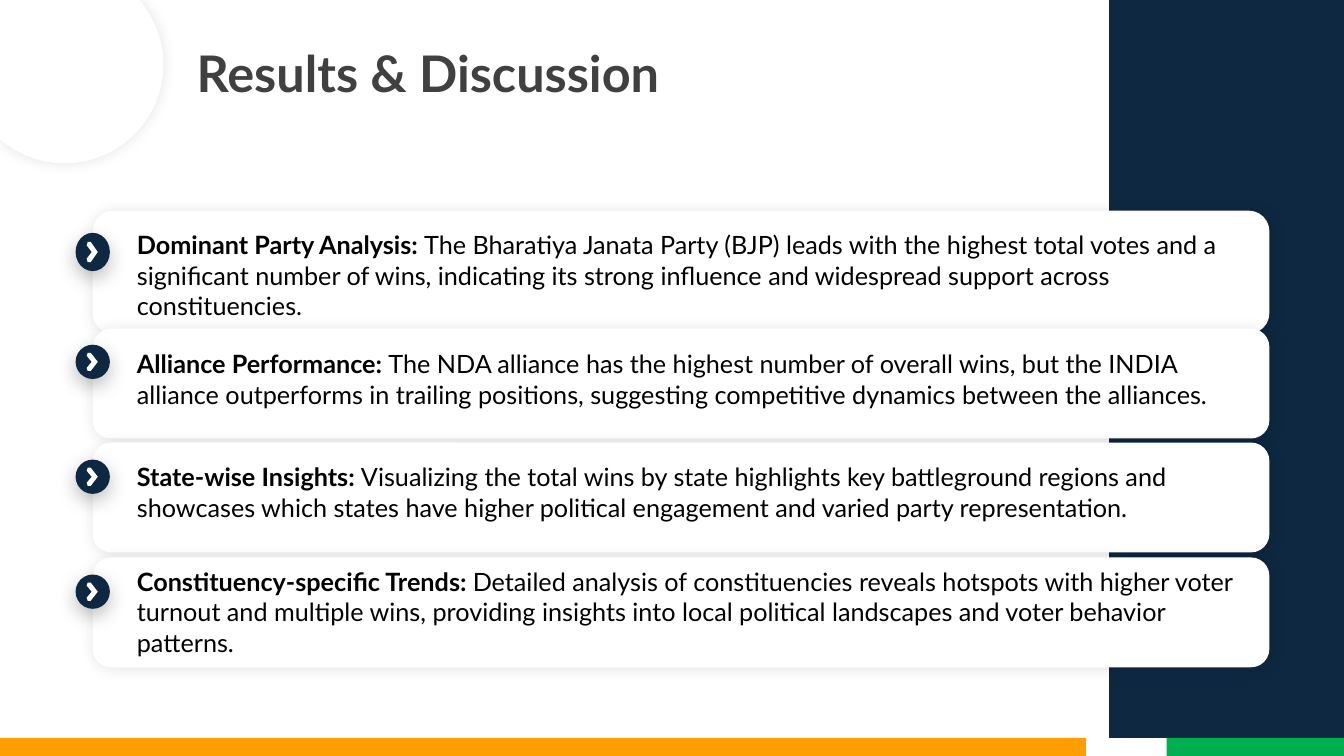
import math
from dataclasses import dataclass

import pptx
import pptx.dml.color
import pptx.enum.shapes
import pptx.enum.text
import pptx.oxml
import pptx.oxml.ns
import pptx.util
from pptx.util import Inches

RGBColor = pptx.dml.color.RGBColor
MSO_SHAPE = pptx.enum.shapes.MSO_SHAPE

NAVY = RGBColor(0x0E, 0x28, 0x41)
ORANGE = RGBColor(0xFF, 0x9E, 0x00)
GREEN = RGBColor(0x00, 0xB0, 0x50)
WHITE = RGBColor(0xFF, 0xFF, 0xFF)
BLACK = RGBColor(0x00, 0x00, 0x00)
TITLE_GRAY = RGBColor(0x40, 0x40, 0x40)
FONT = "Lato"

CARD_LEFT, CARD_WIDTH = 0.92, 11.67
TEXT_LEFT, TEXT_WIDTH = 1.26, 11.33
BADGE_WIDTH = 0.34
BAR_TOP, BAR_HEIGHT = 7.32, 0.18

# Offsets from the badge centre, in inches, for a badge 0.34 high
CHEVRON = [(0.05, 0), (-0.02, 0.09), (-0.05, 0.09), (-0.06, 0.06),
           (-0.01, 0), (-0.06, -0.06), (-0.05, -0.09), (-0.02, -0.09)]


@dataclass(frozen=True)
class Shadow:
    """Blur and distance in points, direction in degrees, opacity in percent."""
    opacity: int
    blur: int
    distance: int
    direction: int


@dataclass(frozen=True)
class Finding:
    heading: str
    detail: str
    card_top: float
    text_top: float
    text_height: float
    badge_middle: float
    card_height: float = 1.09
    badge_height: float = 0.34


CARD_SHADOW = Shadow(10, 10, 0, 0)
BADGE_SHADOW = Shadow(25, 14, 5, 90)

FINDINGS = [
    Finding("Dominant Party Analysis: ",
            "The Bharatiya Janata Party (BJP) leads with the highest total votes and a "
            "significant number of wins, indicating its strong influence and widespread "
            "support across constituencies.",
            2.09, 2.23, 1.14, 2.5, card_height=1.22, badge_height=0.38),
    Finding("Alliance Performance: ",
            "The NDA alliance has the highest number of overall wins, but the INDIA "
            "alliance outperforms in trailing positions, suggesting competitive dynamics "
            "between the alliances.",
            3.26, 3.41, 0.71, 3.59),
    Finding("State-wise Insights: ",
            "Visualizing the total wins by state highlights key battleground regions and "
            "showcases which states have higher political engagement and varied party "
            "representation.",
            4.39, 4.53, 0.71, 4.73),
    Finding("Constituency-specific Trends: ",
            "Detailed analysis of constituencies reveals hotspots with higher voter "
            "turnout and multiple wins, providing insights into local political "
            "landscapes and voter behavior patterns.",
            5.53, 5.57, 1.01, 5.87),
]


def paint(shape, color: RGBColor, shadow: Shadow | None = None) -> None:
    """Give a shape a plain fill, no outline and, if asked, an outer shadow."""
    shape.fill.solid()
    shape.fill.fore_color.rgb = color
    shape.line.fill.background()
    shape.shadow.inherit = False
    if shadow:
        effects = shape._element.spPr.find(pptx.oxml.ns.qn("a:effectLst"))
        effects.append(pptx.oxml.parse_xml(
            f'<a:outerShdw {pptx.oxml.ns.nsdecls("a")} '
            f'blurRad="{pptx.util.Pt(shadow.blur)}" dist="{pptx.util.Pt(shadow.distance)}" '
            f'dir="{shadow.direction * 60000}" algn="ctr" rotWithShape="0">'
            f'<a:srgbClr val="{BLACK}"><a:alpha val="{shadow.opacity * 1000}"/></a:srgbClr>'
            '</a:outerShdw>'))


def add_preset(slide, kind: MSO_SHAPE, left: float, top: float, width: float,
               height: float, color: RGBColor, shadow: Shadow | None = None) -> None:
    shape = slide.shapes.add_shape(kind, Inches(left), Inches(top),
                                   Inches(width), Inches(height))
    paint(shape, color, shadow)


def add_polygon(slide, points: list[tuple[float, float]], color: RGBColor,
                shadow: Shadow | None = None) -> None:
    corners = [(Inches(x), Inches(y)) for x, y in points]
    builder = slide.shapes.build_freeform(*corners[0], scale=1.0)
    builder.add_line_segments(corners[1:], close=True)
    paint(builder.convert_to_shape(), color, shadow)


def add_run(paragraph, text: str, size: int, color: RGBColor, bold: bool) -> None:
    run = paragraph.add_run()
    run.text = text
    run.font.name = FONT
    run.font.size = pptx.util.Pt(size)
    run.font.bold = bold
    run.font.color.rgb = color


def add_title(slide, text: str) -> None:
    title = slide.shapes.title
    title.left, title.top = Inches(1.85), Inches(0.37)
    title.width, title.height = Inches(11.48), Inches(0.71)
    title.text_frame.vertical_anchor = pptx.enum.text.MSO_ANCHOR.TOP
    title.text_frame.auto_size = pptx.enum.text.MSO_AUTO_SIZE.NONE
    paragraph = title.text_frame.paragraphs[0]
    paragraph.alignment = pptx.enum.text.PP_ALIGN.LEFT
    add_run(paragraph, text, 36, TITLE_GRAY, True)


def add_corner_circle(slide) -> None:
    """Draw the part of the circle that lies on the slide."""
    center, radius = 0.64, 0.98
    arc = [(center + radius * math.cos(math.radians(angle)),
            center + radius * math.sin(math.radians(angle)))
           for angle in range(-40, 131, 2)]
    outline = [(0, 0), (arc[0][0], 0), *arc, (0, arc[-1][1])]
    add_polygon(slide, outline, WHITE, CARD_SHADOW)


def add_finding(slide, finding: Finding) -> None:
    add_preset(slide, MSO_SHAPE.ROUNDED_RECTANGLE, CARD_LEFT, finding.card_top,
               CARD_WIDTH, finding.card_height, WHITE, CARD_SHADOW)
    add_preset(slide, MSO_SHAPE.OVAL, CARD_LEFT - BADGE_WIDTH / 2,
               finding.badge_middle - finding.badge_height / 2,
               BADGE_WIDTH, finding.badge_height, NAVY, BADGE_SHADOW)
    stretch = finding.badge_height / BADGE_WIDTH
    add_polygon(slide, [(CARD_LEFT + x, finding.badge_middle + y * stretch)
                        for x, y in CHEVRON], WHITE)
    text_box = slide.shapes.add_textbox(Inches(TEXT_LEFT), Inches(finding.text_top),
                                        Inches(TEXT_WIDTH), Inches(finding.text_height))
    text_box.text_frame.word_wrap = True
    paragraph = text_box.text_frame.paragraphs[0]
    add_run(paragraph, finding.heading, 18, BLACK, True)
    add_run(paragraph, finding.detail, 18, BLACK, False)


def main() -> None:
    presentation = pptx.Presentation()
    presentation.slide_width = Inches(13.33)
    presentation.slide_height = Inches(7.5)
    slide = presentation.slides.add_slide(presentation.slide_layouts.get_by_name("Title Only"))

    add_title(slide, "Results & Discussion")
    add_preset(slide, MSO_SHAPE.RECTANGLE, 11, 0, 2.33, BAR_TOP, NAVY)
    add_corner_circle(slide)
    add_preset(slide, MSO_SHAPE.RECTANGLE, 0, BAR_TOP, 10.77, BAR_HEIGHT, ORANGE)
    add_preset(slide, MSO_SHAPE.RECTANGLE, 11.57, BAR_TOP, 1.76, BAR_HEIGHT, GREEN)
    for finding in FINDINGS:
        add_finding(slide, finding)

    presentation.save("out.pptx")


if __name__ == "__main__":
    main()
